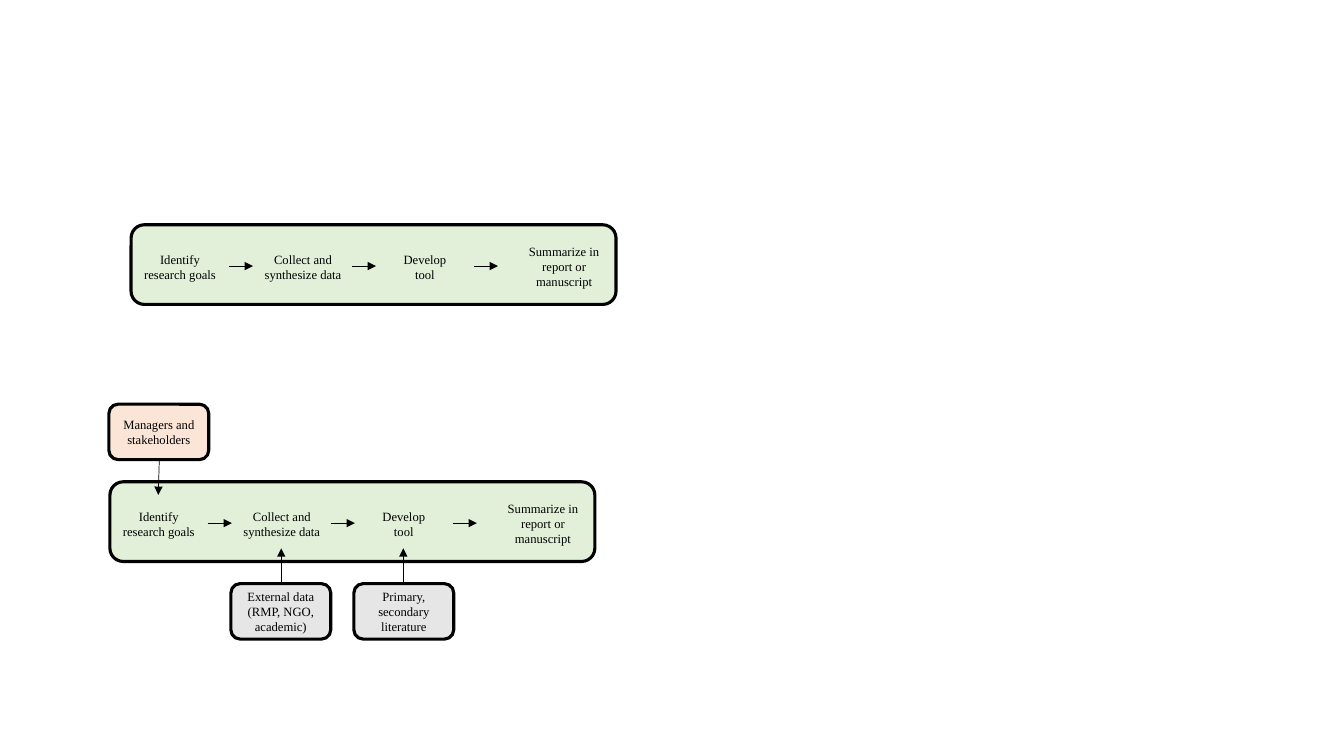
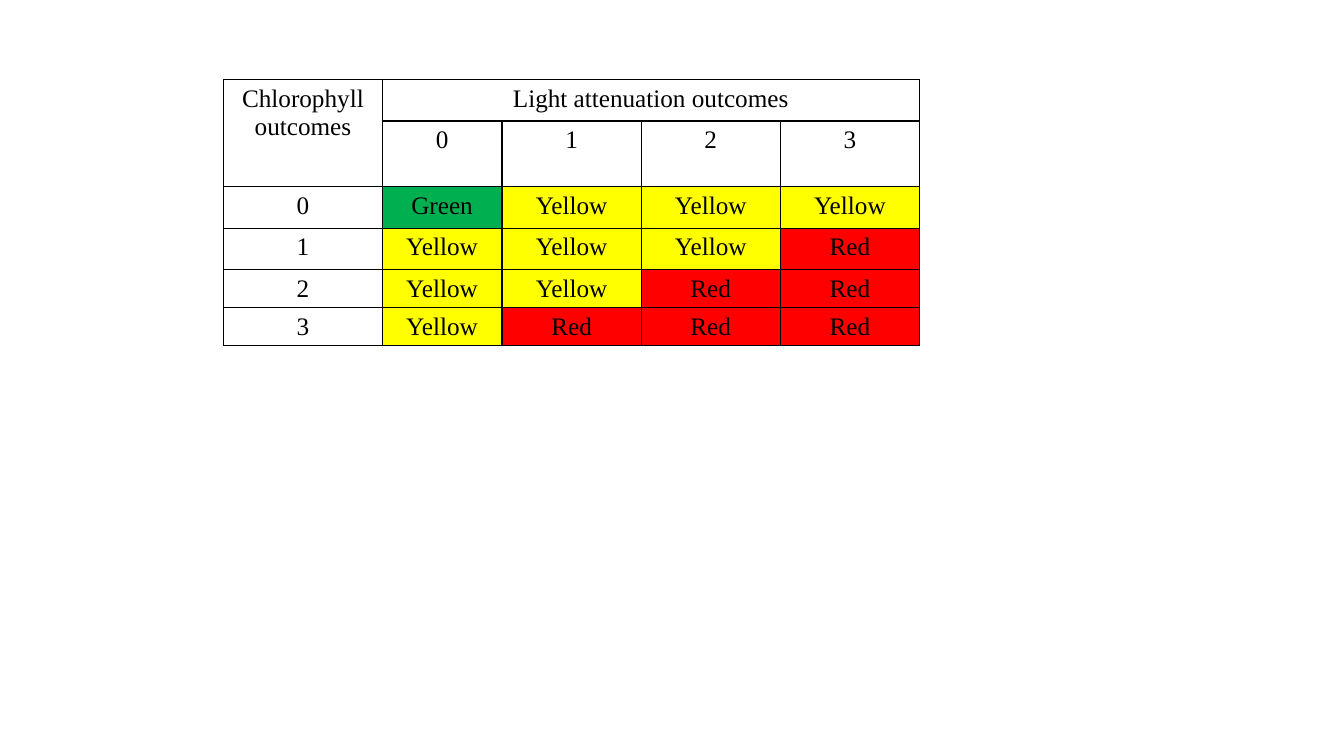
import pptx
import pptx.dml.color
import pptx.enum.shapes
import pptx.enum.text
import pptx.oxml
import pptx.oxml.ns
import pptx.util
from pptx.util import Inches

RGB = pptx.dml.color.RGBColor.from_string
SHAPES = pptx.enum.shapes.MSO_SHAPE

# Colours, type sizes and formats
THEME = {
    "ink": RGB("000000"),
    "band": RGB("E2F0D9"),
    "people": RGB("FBE5D6"),
    "evidence": RGB("E7E6E6"),
    "outcomes": {"Green": RGB("00B050"), "Yellow": RGB("FFFF00"), "Red": RGB("FF0000")},
    "box_line": pptx.util.Pt(2.25),
    "arrow_line": pptx.util.Pt(0.5),
    "diagram_font": {"name": "Times New Roman", "size": pptx.util.Pt(9)},
    "table_font": {"name": "Times New Roman", "size": pptx.util.Pt(18)},
    "box_frame": {
        "word_wrap": True,
        "vertical_anchor": pptx.enum.text.MSO_ANCHOR.MIDDLE,
        "margin_left": Inches(0.08),
        "margin_right": Inches(0.08),
    },
    "plain_table": {"first_row": False, "horz_banding": False},
}


def write_text(frame, text, font_format):
    """Write centred paragraphs, one for each line of the text."""
    frame.text = text
    for paragraph in frame.paragraphs:
        paragraph.alignment = pptx.enum.text.PP_ALIGN.CENTER
        paragraph.font.color.rgb = THEME["ink"]
        for name, value in font_format.items():
            setattr(paragraph.font, name, value)


def add_box(slide, at, text="", fill=None):
    """Add a rounded box, or a bare text box when there is no fill."""
    place = [Inches(length) for length in at]
    if fill is None:
        shape = slide.shapes.add_textbox(*place)
    else:
        shape = slide.shapes.add_shape(SHAPES.ROUNDED_RECTANGLE, *place)
        shape.shadow.inherit = False
        shape.fill.solid()
        shape.fill.fore_color.rgb = fill
        shape.line.color.rgb = THEME["ink"]
        shape.line.width = THEME["box_line"]
    for name, value in THEME["box_frame"].items():
        setattr(shape.text_frame, name, value)
    if text:
        write_text(shape.text_frame, text, THEME["diagram_font"])


presentation = pptx.Presentation()
presentation.slide_width = Inches(13.33)
presentation.slide_height = Inches(7.5)
blank_layout = presentation.slide_layouts[6]

# Slide 1: research workflow, alone and with its inputs
workflow_slide = presentation.slides.add_slide(blank_layout)
STEPS = [  # offset in the band, width, text
    (0, 0.97, "Identify research goals"),
    (1.22, 0.97, "Collect and synthesize data"),
    (2.43, 0.97, "Develop\ntool"),
    (3.78, 1.03, "Summarize in report or manuscript"),
]
INPUTS = [  # left, top, text, fill
    (1.08, 4.01, "Managers and stakeholders", THEME["people"]),
    (2.29, 5.79, "External data (RMP, NGO, academic)", THEME["evidence"]),
    (3.51, 5.79, "Primary, secondary literature", THEME["evidence"]),
]
arrows = [  # from x, from y, to x, to y
    (1.58, 4.56, 1.57, 4.91),
    (2.79, 5.79, 2.79, 5.44),
    (4, 5.79, 4, 5.44),
]

# Bands with their steps
for left, top in [(1.3, 2.23), (1.09, 4.78)]:
    add_box(workflow_slide, (left, top, 4.81, 0.79), fill=THEME["band"])
    for offset, width, text in STEPS:
        add_box(workflow_slide, (left + offset, top + 0.13, width, 0.57), text)
    for offset, width, text in STEPS[:-1]:
        start = left + offset + width
        arrows.append((start, top + 0.41, start + 0.24, top + 0.41))

# Arrows
for ends in arrows:
    arrow = workflow_slide.shapes.add_connector(
        pptx.enum.shapes.MSO_CONNECTOR.STRAIGHT, *[Inches(length) for length in ends])
    arrow.line.color.rgb = THEME["ink"]
    arrow.line.width = THEME["arrow_line"]
    head = pptx.oxml.parse_xml(
        f'<a:tailEnd {pptx.oxml.ns.nsdecls("a")} type="triangle"/>')
    arrow.line._get_or_add_ln().append(head)
    arrow._element.spPr.append(pptx.oxml.parse_xml(
        f'<a:effectLst {pptx.oxml.ns.nsdecls("a")}/>'))

# Input boxes
for left, top, text, fill in INPUTS:
    add_box(workflow_slide, (left, top, 0.99, 0.55), text, fill)

# Slide 2: outcome matrix
matrix_slide = presentation.slides.add_slide(blank_layout)
COLUMN_WIDTHS = [1.57, 1.19, 1.38, 1.38, 1.38]
ROW_HEIGHTS = [0.41, 0.41, 0.41, 0.41, 0.2, 0.2]
ROWS = [
    ["Chlorophyll outcomes", "Light attenuation outcomes", "", "", ""],
    ["", "0", "1", "2", "3"],
    ["0", "Green", "Yellow", "Yellow", "Yellow"],
    ["1", "Yellow", "Yellow", "Yellow", "Red"],
    ["2", "Yellow", "Yellow", "Red", "Red"],
    ["3", "Yellow", "Red", "Red", "Red"],
]
table = matrix_slide.shapes.add_table(
    len(ROWS), len(COLUMN_WIDTHS), Inches(2.22), Inches(0.79),
    Inches(sum(COLUMN_WIDTHS)), Inches(sum(ROW_HEIGHTS))).table
for name, value in THEME["plain_table"].items():
    setattr(table, name, value)
for column, width in zip(table.columns, COLUMN_WIDTHS):
    column.width = Inches(width)
for row, height in zip(table.rows, ROW_HEIGHTS):
    row.height = Inches(height)
table.cell(0, 0).merge(table.cell(1, 0))
table.cell(0, 1).merge(table.cell(0, 4))

# Cell text, borders and fills
for row_index, row_texts in enumerate(ROWS):
    for column_index, text in enumerate(row_texts):
        cell = table.cell(row_index, column_index)
        write_text(cell.text_frame, text, THEME["table_font"])
        cell_properties = cell._tc.get_or_add_tcPr()
        for side in ("lnL", "lnR", "lnT", "lnB"):
            cell_properties.append(pptx.oxml.parse_xml(
                f'<a:{side} {pptx.oxml.ns.nsdecls("a")} w="12700"><a:solidFill>'
                f'<a:srgbClr val="{THEME["ink"]}"/></a:solidFill></a:{side}>'))
        if text in THEME["outcomes"]:
            cell.fill.solid()
            cell.fill.fore_color.rgb = THEME["outcomes"][text]
        else:
            cell.fill.background()

presentation.save("out.pptx")
